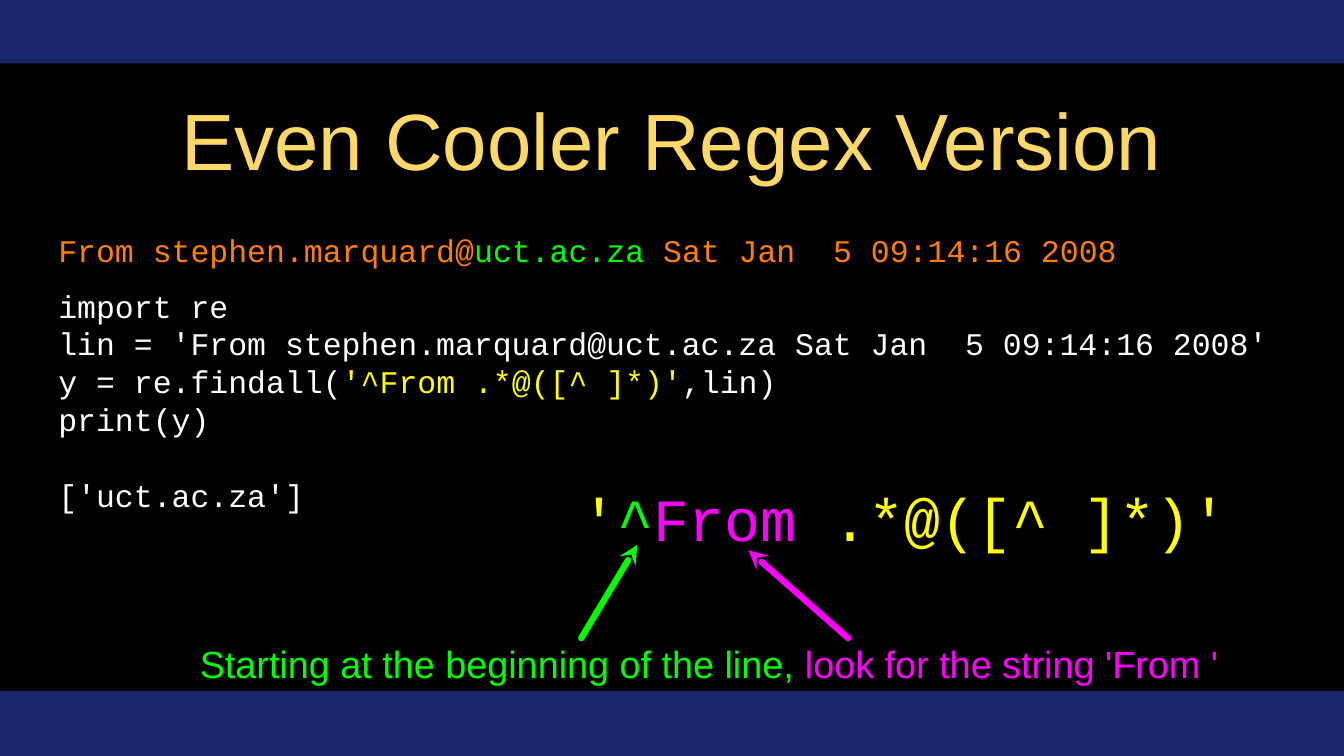
"""Build a slide that explains a regular expression for picking out a mail host."""
from lxml import etree
from pptx import Presentation
from pptx.dml.color import RGBColor
from pptx.enum.shapes import MSO_CONNECTOR, MSO_SHAPE
from pptx.enum.text import MSO_ANCHOR, PP_ALIGN
from pptx.oxml.ns import qn
from pptx.util import Cm, Pt

RECTANGLE = MSO_SHAPE.RECTANGLE
STRAIGHT = MSO_CONNECTOR.STRAIGHT
MIDDLE = MSO_ANCHOR.MIDDLE
LEFT, CENTER = PP_ALIGN.LEFT, PP_ALIGN.CENTER

BLACK = RGBColor(0x00, 0x00, 0x00)
NAVY = RGBColor(0x18, 0x27, 0x6C)
GOLD = RGBColor(0xFF, 0xD9, 0x66)
YELLOW = RGBColor(0xFF, 0xFF, 0x00)
GREEN = RGBColor(0x00, 0xFF, 0x00)
MAGENTA = RGBColor(0xFF, 0x00, 0xFF)
ORANGE = RGBColor(0xFF, 0x7F, 0x00)
WHITE = RGBColor(0xFF, 0xFF, 0xFF)

SANS, MONO = "Arial", "Courier New"
SLIDE_WIDTH, SLIDE_HEIGHT = 45.16, 25.4
CODE_PITCH = Pt(36)

BANDS = [(0, 2.13), (23.22, 2.18)]

TITLE = [[("Even Cooler Regex Version", GOLD)]]
PATTERN = [[("'", YELLOW), ("^", GREEN), ("From ", MAGENTA), (".*@([^ ]*)'", YELLOW)]]
CAPTION = [[("Starting at the beginning of the line, ", GREEN),
            ("look for the string 'From ' ", MAGENTA)]]
MAIL_LINE = [[("From stephen.marquard@", ORANGE), ("uct.ac.za", GREEN),
              (" Sat Jan  5 09:14:16 2008", ORANGE)]]
CODE = [
    [("import re", WHITE)],
    [("lin = 'From stephen.marquard@uct.ac.za Sat Jan  5 09:14:16 2008'", WHITE)],
    [("y = re.findall(", WHITE), ("'^From .*@([^ ]*)'", YELLOW), (",lin)", WHITE)],
    [("print(y)", WHITE)],
    [("['uct.ac.za']", WHITE)],
]

TEXTS = [
    (TITLE, (3.2, 2.26, 38.71, 4.8), SANS, 76, CENTER),
    (PATTERN, (19.53, 16.18, 21.95, 2.44), MONO, 57, LEFT),
    (CAPTION, (4.93, 21.44, 38.15, 1.73), SANS, 36, CENTER),
    (MAIL_LINE, (1.96, 7.47, 39.52, 1.88), MONO, 30, LEFT),
]
CODE_BOX = (1.96, 9.53, 41.63, 7.82)

ARROWS = [
    ((19.53, 21.44), (21.41, 18.31), GREEN),
    ((28.5, 21.44), (25.15, 18.49), MAGENTA),
]


def add_band(slide, top, height):
    band = slide.shapes.add_shape(RECTANGLE, 0, Cm(top), Cm(SLIDE_WIDTH), Cm(height))
    band.shadow.inherit = False
    band.fill.solid()
    band.fill.fore_color.rgb = NAVY
    band.line.fill.background()


def add_text(slide, lines, place, font, size, align):
    frame = slide.shapes.add_textbox(*map(Cm, place)).text_frame
    frame.word_wrap = True
    frame.vertical_anchor = MIDDLE
    frame.margin_left = frame.margin_right = frame.margin_top = frame.margin_bottom = 0
    for index, pieces in enumerate(lines):
        paragraph = frame.paragraphs[0] if index == 0 else frame.add_paragraph()
        paragraph.alignment = align
        for words, color in pieces:
            run = paragraph.add_run()
            run.text = words
            run.font.name = font
            run.font.size = Pt(size)
            run.font.color.rgb = color
    return frame.paragraphs


def add_arrow(slide, start, tip, color):
    arrow = slide.shapes.add_connector(STRAIGHT, *map(Cm, start + tip))
    arrow.line.color.rgb = color
    arrow.line.width = Pt(6)
    outline = arrow.line._get_or_add_ln()
    outline.set("cap", "rnd")
    etree.SubElement(outline, qn("a:tailEnd"), type="stealth")
    etree.SubElement(arrow._element.spPr, qn("a:effectLst"))


def main():
    deck = Presentation()
    deck.slide_width, deck.slide_height = Cm(SLIDE_WIDTH), Cm(SLIDE_HEIGHT)
    slide = deck.slides.add_slide(deck.slide_layouts[6])
    slide.background.fill.solid()
    slide.background.fill.fore_color.rgb = BLACK

    for top, height in BANDS:
        add_band(slide, top, height)
    for lines, place, font, size, align in TEXTS:
        add_text(slide, lines, place, font, size, align)
    for start, tip, color in ARROWS:
        add_arrow(slide, start, tip, color)

    code_lines = add_text(slide, CODE, CODE_BOX, MONO, 30, LEFT)
    for line in code_lines:
        line.line_spacing = CODE_PITCH
    code_lines[-1].space_before = CODE_PITCH

    deck.save("out.pptx")


if __name__ == "__main__":
    main()
